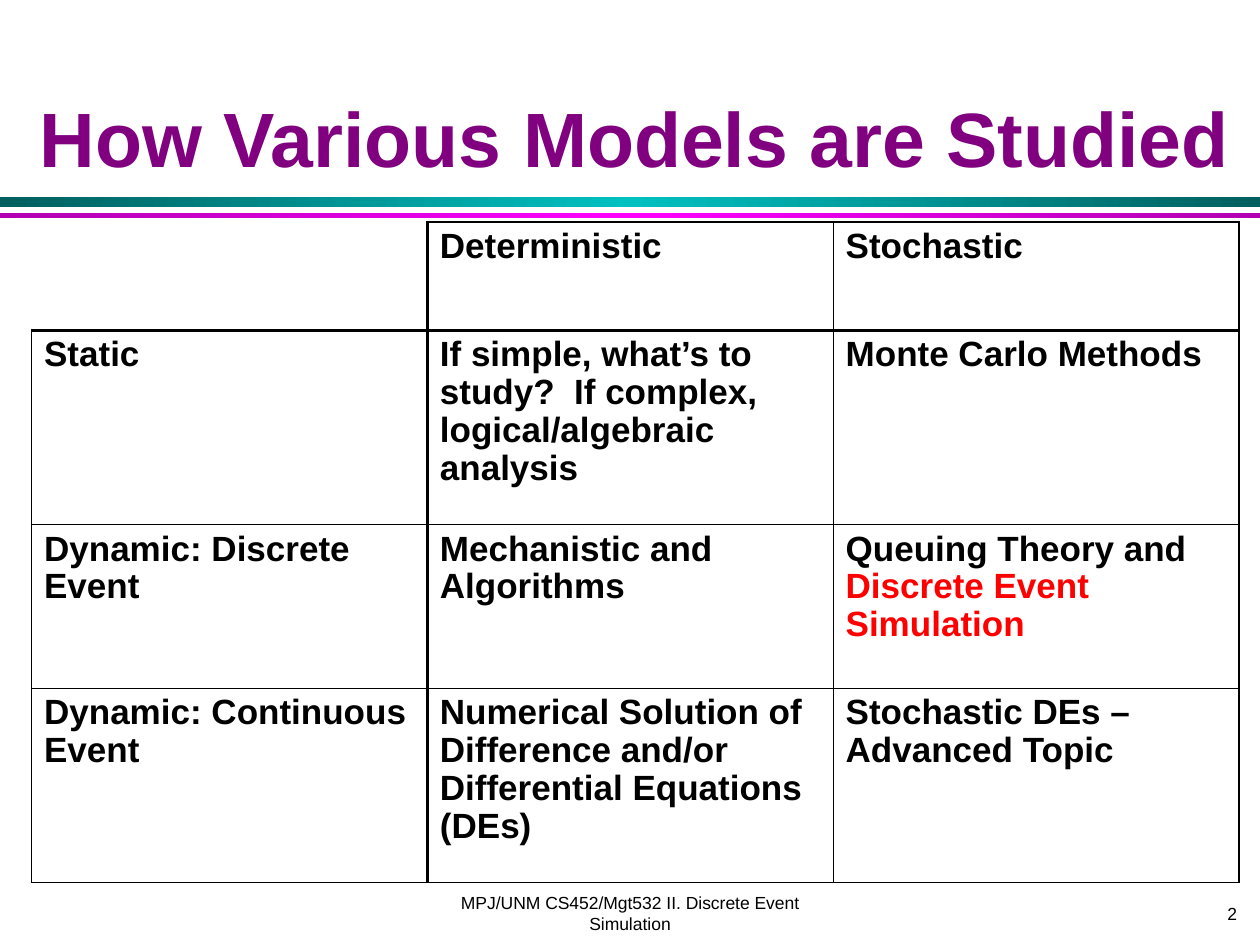
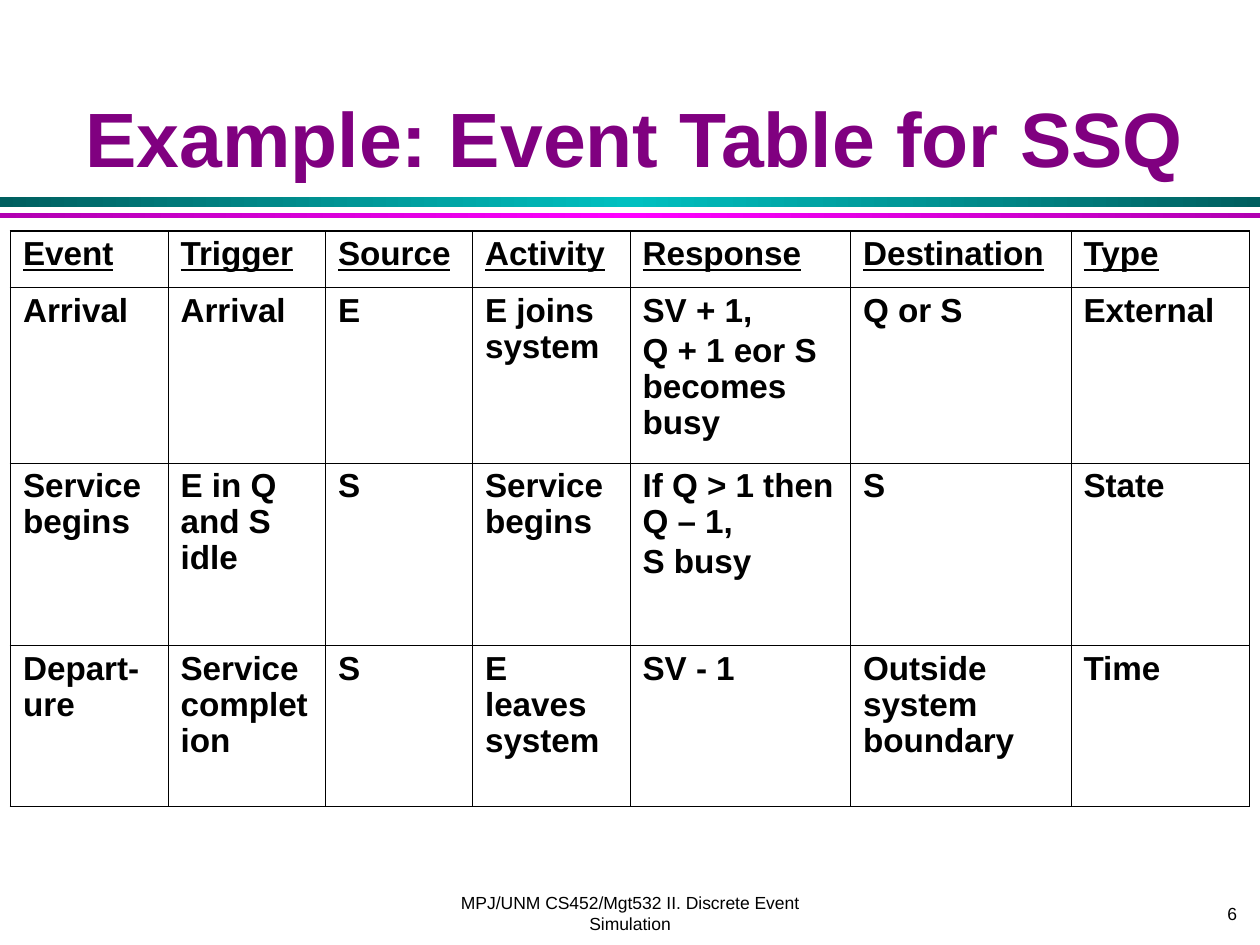
import copy

import pptx
import pptx.dml.color
import pptx.enum.shapes
import pptx.enum.text
import pptx.oxml
import pptx.oxml.ns
import pptx.util

RGBColor = pptx.dml.color.RGBColor
ALIGN = pptx.enum.text.PP_ALIGN
ANCHOR = pptx.enum.text.MSO_ANCHOR
Pt = pptx.util.Pt

BLACK = RGBColor(0x00, 0x00, 0x00)
RED = RGBColor(0xFF, 0x00, 0x00)
PURPLE = RGBColor(0x80, 0x00, 0x80)
DARK_TEAL = RGBColor(0x00, 0x5F, 0x5F)
TEAL = RGBColor(0x00, 0xC0, 0xC0)
DARK_MAGENTA = RGBColor(0xB1, 0x00, 0xB1)
MAGENTA = RGBColor(0xFF, 0x00, 0xFF)

COLUMNS, ROWS = 120, 90
THIN, EDGE, HEAVY = 0.45, 1.08, 2.21
FOOTER = "MPJ/UNM CS452/Mgt532 II. Discrete Event Simulation"


def apply(target, values):
    for name, value in values.items():
        setattr(target, name, value)


class Deck:
    title_font = {"name": "Arial", "size": Pt(44), "bold": True}
    footer_font = {"name": "Arial", "size": Pt(10)}

    def __init__(self):
        self.prs = pptx.Presentation()
        self.prs.slide_width = pptx.util.Inches(10)
        self.prs.slide_height = pptx.util.Inches(7.5)
        self.s = None

    def x(self, columns):
        return round(self.prs.slide_width * columns / COLUMNS)

    def y(self, rows):
        return round(self.prs.slide_height * rows / ROWS)

    def box(self, left, top, width, height):
        return self.x(left), self.y(top), self.x(width), self.y(height)

    def slide(self, title, number):
        self.s = self.prs.slides.add_slide(self.prs.slide_layouts[5])
        self.band(18.75, 1, DARK_TEAL, TEAL)
        self.band(20.25, 0.5, DARK_MAGENTA, MAGENTA)
        self.title(title)
        self.text(FOOTER, (41, 84, 38, 6), ALIGN.CENTER)
        self.text(str(number), (94, 84, 25, 6), ALIGN.RIGHT)

    def run(self, p, text, font, color=BLACK):
        r = p.add_run()
        r.text = text
        apply(r.font, font)
        r.font.color.rgb = color

    def frame(self, sp, text, font, color, align, anchor):
        tf = sp.text_frame
        apply(tf, {"word_wrap": True, "vertical_anchor": anchor,
                   "auto_size": pptx.enum.text.MSO_AUTO_SIZE.NONE})
        p = tf.paragraphs[0]
        p.alignment = align
        self.run(p, text, font, color)

    def title(self, text):
        sp = self.s.shapes.title
        apply(sp, dict(zip(("left", "top", "width", "height"),
                           self.box(2, 3, 117, 15))))
        self.frame(sp, text, self.title_font, PURPLE, ALIGN.CENTER, ANCHOR.BOTTOM)

    def text(self, text, area, align):
        sp = self.s.shapes.add_textbox(*self.box(*area))
        self.frame(sp, text, self.footer_font, BLACK, align, ANCHOR.MIDDLE)

    def band(self, top, height, outer, middle):
        sp = self.s.shapes.add_shape(pptx.enum.shapes.MSO_SHAPE.RECTANGLE,
                                     *self.box(0, top, COLUMNS, height))
        sp.shadow.inherit = False
        sp.line.fill.background()
        sp.fill.gradient()
        sp.fill.gradient_angle = 0
        stops = sp._element.spPr.find(".//" + pptx.oxml.ns.qn("a:gsLst"))
        stops.append(copy.deepcopy(stops[-1]))
        for stop, position, color in zip(sp.fill.gradient_stops, (0, 0.5, 1),
                                         (outer, middle, outer)):
            stop.position = position
            stop.color.rgb = color

    def borders(self, cell, widths):
        tc_pr = cell._tc.get_or_add_tcPr()
        for i, (side, width) in enumerate(zip("LRTB", widths)):
            fill = (f'<a:solidFill><a:srgbClr val="{BLACK}"/></a:solidFill>'
                    if width else "<a:noFill/>")
            tc_pr.insert(i, pptx.oxml.parse_xml(
                f'<a:ln{side} {pptx.oxml.ns.nsdecls("a")} w="{Pt(width)}">'
                f"{fill}</a:ln{side}>"))

    def table(self, left, top, widths, heights, rows, size,
              header=THIN, underline=False, accent=None):
        area = self.box(left, top, sum(widths), sum(heights))
        table = self.s.shapes.add_table(len(rows), len(widths), *area).table
        apply(table, {"first_row": False, "horz_banding": False})
        for column, width in zip(table.columns, widths):
            column.width = self.x(width)
        for row, height in zip(table.rows, heights):
            row.height = self.y(height)
        x_lines = [EDGE, header] + [THIN] * (len(widths) - 2) + [EDGE]
        y_lines = [EDGE, header] + [THIN] * (len(rows) - 2) + [EDGE]
        for i, texts in enumerate(rows):
            font = {"name": "Arial", "size": Pt(size), "bold": True,
                    "underline": underline and i == 0}
            for j, text in enumerate(texts):
                cell = table.cell(i, j)
                cell.fill.background()
                lines = [x_lines[j], x_lines[j + 1], y_lines[i], y_lines[i + 1]]
                if not text:
                    lines[0] = lines[2] = 0
                self.borders(cell, lines)
                self.cell_text(cell, text, font, accent)

    def cell_text(self, cell, text, font, accent):
        tf = cell.text_frame
        for n, line in enumerate(text.split("\n")):
            p = tf.add_paragraph() if n else tf.paragraphs[0]
            apply(p, {"space_before": Pt(font["size"].pt / 8), "line_spacing": 0.97})
            plain, marked, _ = line.partition(accent) if accent else (line, "", "")
            for part, color in ((plain, BLACK), (marked, RED)):
                if part:
                    self.run(p, part, font, color)


def main():
    deck = Deck()

    deck.slide("How Various Models are Studied", 2)
    deck.table(3, 21.15, (37.7, 38.65, 38.65), (10.3, 18.5, 15.6, 18.5), (
        ("", "Deterministic", "Stochastic"),
        ("Static",
         "If simple, what’s to study?  If complex, logical/algebraic analysis",
         "Monte Carlo Methods"),
        ("Dynamic: Discrete Event", "Mechanistic and Algorithms",
         "Queuing Theory and Discrete Event Simulation"),
        ("Dynamic: Continuous Event",
         "Numerical Solution of Difference and/or Differential Equations (DEs)",
         "Stochastic DEs – Advanced Topic"),
    ), 20, header=HEAVY, accent=" Discrete Event Simulation")

    deck.slide("Example: Event Table for SSQ", 6)
    deck.table(1, 22, (15, 15, 14, 15, 21, 21, 17), (5.4, 16.7, 17.4, 15.3), (
        ("Event", "Trigger", "Source", "Activity", "Response", "Destination", "Type"),
        ("Arrival", "Arrival", "E", "E joins system",
         "SV + 1,\nQ + 1 eor S becomes busy", "Q or S", "External"),
        ("Service begins", "E in Q and S idle", "S", "Service begins",
         "If Q > 1 then Q – 1,\nS busy", "S", "State"),
        ("Depart-ure", "Service completion", "S", "E leaves system",
         "SV - 1", "Outside system boundary", "Time"),
    ), 19, underline=True)

    deck.prs.save("out.pptx")


if __name__ == "__main__":
    main()
